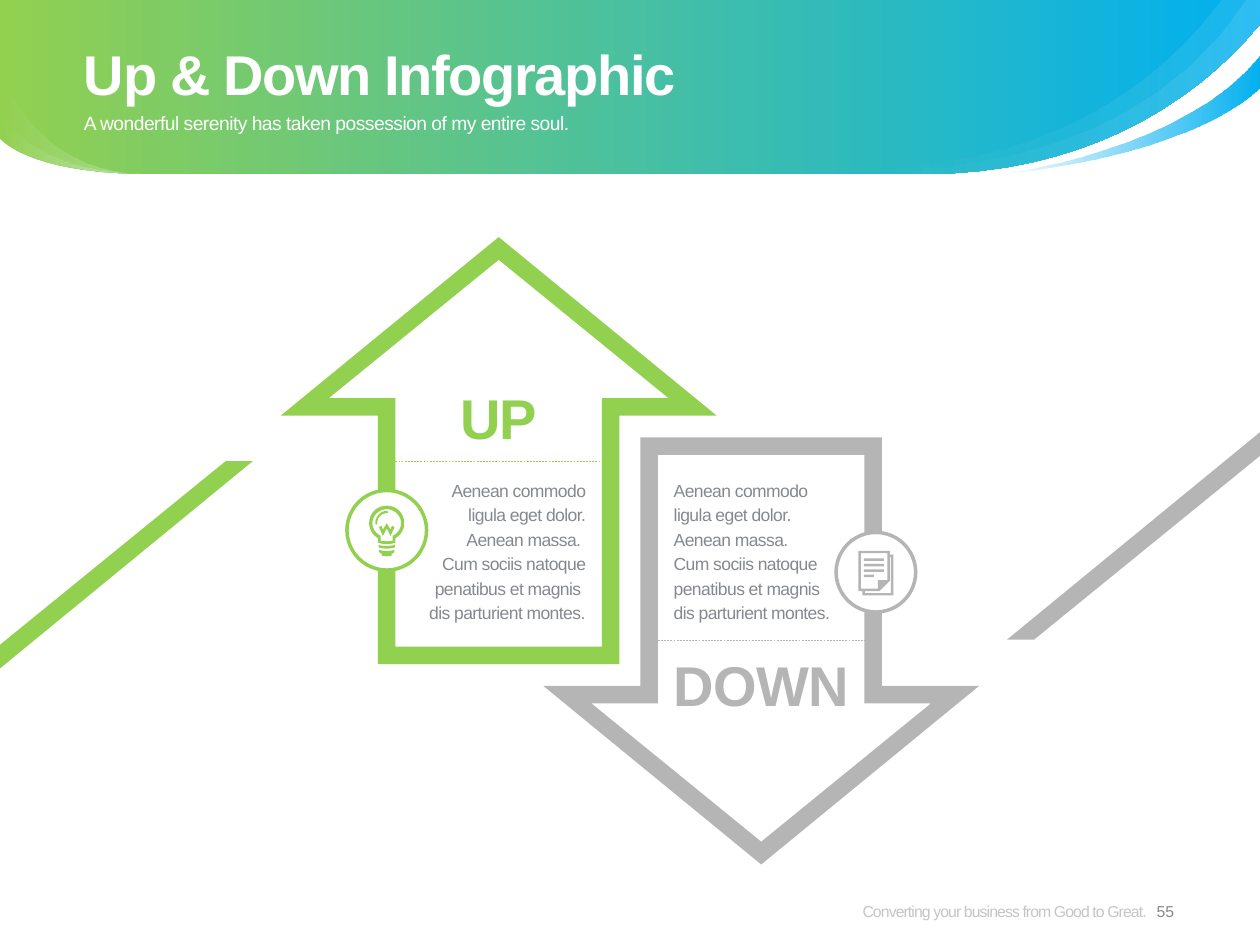
import pptx
import pptx.dml.color
import pptx.enum.dml
import pptx.enum.shapes
import pptx.enum.text
import pptx.oxml.ns
import pptx.util
from lxml import etree

Pt = pptx.util.Pt
RGB = pptx.dml.color.RGBColor.from_string
ALIGN = pptx.enum.text.PP_ALIGN
ANCHOR = pptx.enum.text.MSO_ANCHOR
SHAPE = pptx.enum.shapes.MSO_SHAPE
qn = pptx.oxml.ns.qn

COLORS = {"up": "92D050", "down": "B5B5B5", "blue": "00B0F0", "white": "FFFFFF",
          "body": "85898F", "footer": "C5C5C5"}

BULB = [
    [(10, 0), (4.3, 0, 0, 4.3, 0, 10), (0, 13.6, 2, 16.8, 5, 18.5), (5, 21),
     (8.3, 22.3, 11.7, 22.3, 15, 21), (15, 18.5), (18, 16.8, 20, 13.6, 20, 10),
     (20, 4.3, 15.7, 0, 10, 0)],
    [(13.4, 17.2), (13.4, 20), (11, 20.4, 9, 20.4, 6.6, 20), (6.6, 17.2),
     (3.7, 15.8, 1.8, 13, 1.8, 10), (1.8, 5.6, 5.6, 2, 10, 2),
     (14.4, 2, 18.2, 5.6, 18.2, 10), (18.2, 13, 16.3, 15.8, 13.4, 17.2)],
    [(12.2, 13.7), (10, 10), (7.8, 13.7), (7, 11.5), (5.5, 12.2), (7.8, 17.3),
     (10, 13), (12.2, 17.3), (14.5, 12.2), (13, 11.5)],
    [(10, 4.3), (11, 4.2, 11, 3.1, 10, 3), (6.4, 3, 3.5, 6.2, 3.5, 10),
     (3.6, 11, 4.5, 11, 4.6, 10), (4.6, 6.8, 6.9, 4.3, 10, 4.3)],
    [(5.4, 22.3), (5.4, 23.8), (8, 24.7, 12, 24.7, 14.6, 23.8), (14.6, 22.3),
     (12, 23.3, 8, 23.3, 5.4, 22.3)],
    [(5.6, 25.2), (5.6, 26.4), (6, 26.9, 6.5, 27.2, 7.2, 27.4), (7.2, 28.5),
     (8.5, 29, 11.5, 29, 12.8, 28.5), (12.8, 27.4), (13.5, 27.2, 14, 26.9, 14.4, 26.4),
     (14.4, 25.2), (12, 26.1, 8, 26.1, 5.6, 25.2)],
]
PAGES = [
    [(18, 2.2), (18, 0), (0, 0), (0, 23), (2.3, 23), (2.3, 25.5), (20, 25.5), (20, 2.2)],
    [(1.4, 21.6), (1.4, 1.4), (16.6, 1.4), (16.6, 16.8), (11.2, 16.8), (11.2, 21.6)],
    [(18.6, 24.2), (3.7, 24.2), (3.7, 23), (12.2, 23), (18, 17.2), (18, 3.6), (18.6, 3.6)],
] + [[(3.2, y), (right, y), (right, y + 1.4), (3.2, y + 1.4)]
     for y, right in ((4.4, 14.6), (7.5, 14.6), (10.6, 14.6), (13.7, 8.9))]


def flatten(contour, steps=16):
    """Turn points and cubic curves (six numbers) into plain points."""
    pts = []
    for item in contour:
        if len(item) == 2:
            pts.append(item)
            continue
        x0, y0 = pts[-1]
        x1, y1, x2, y2, x3, y3 = item
        for i in range(1, steps + 1):
            t = i / steps
            a, b, c, d = (1 - t) ** 3, 3 * t * (1 - t) ** 2, 3 * t * t * (1 - t), t ** 3
            pts.append((a * x0 + b * x1 + c * x2 + d * x3, a * y0 + b * y1 + c * y2 + d * y3))
    return pts


def add_outline(s, left, top, contours, color=None):
    """Draw closed contours, offset from a corner, as one freeform."""
    builder = None
    for contour in contours:
        pts = [(Pt(left + x), Pt(top + y)) for x, y in flatten(contour)]
        if builder is None:
            builder = s.shapes.build_freeform(*pts[0])
        else:
            builder.move_to(*pts[0])
        builder.add_line_segments(pts[1:], close=True)
    sp = builder.convert_to_shape()
    sp.shadow.inherit = False
    sp.line.fill.background()
    if color:
        sp.fill.solid()
        sp.fill.fore_color.rgb = RGB(COLORS[color])
    return sp


def set_gradient(sp, *stops):
    """Fill left to right with two (position, colour, opacity percent) stops."""
    sp.fill.gradient()
    sp.fill.gradient_angle = 0
    for stop, (position, color, opacity) in zip(sp.fill.gradient_stops, stops):
        stop.position = position
        stop.color.rgb = RGB(COLORS[color])
    for clr, (position, color, opacity) in zip(sp._element.spPr.iter(qn("a:srgbClr")), stops):
        if opacity < 100:
            etree.SubElement(clr, qn("a:alpha")).set("val", str(opacity * 1000))


def write(sp, box, lines, size, color, align=ALIGN.LEFT, anchor=ANCHOR.TOP,
          bold=False, spacing=0, leading=None):
    """Place a text shape and format its paragraphs."""
    sp.left, sp.top, sp.width, sp.height = map(Pt, box)
    tf = sp.text_frame
    tf.text = "\n".join(lines)
    tf.word_wrap = True
    tf.auto_size = pptx.enum.text.MSO_AUTO_SIZE.NONE
    tf.vertical_anchor = anchor
    tf.margin_left = tf.margin_top = tf.margin_right = tf.margin_bottom = 0
    for p in tf.paragraphs:
        p.alignment = align
        if leading:
            p.line_spacing = Pt(leading)
        for r in p.runs:
            r.font.name, r.font.size, r.font.bold = "Arial", Pt(size), bold
            r.font.color.rgb = RGB(COLORS[color])
            r._r.get_or_add_rPr().set("spc", str(spacing))


def add_text(s, box, lines, size, color, **style):
    """Add a text box."""
    write(s.shapes.add_textbox(*map(Pt, box)), box, lines, size, color, **style)


def add_header(s, left, top, width, height):
    """Draw the curved banner with its title and subtitle."""
    right_edge = [(width, 0), (width, 13.7), (680.4, 62, 615.6, height, 528.5, height)]
    left_edge = [(82, height), (15, 98.6, 0, 79.2, 0, 79.2)]
    banner = add_outline(s, left, top, [right_edge + left_edge + [(0, 0)]])
    set_gradient(banner, (0, "up", 100), (1, "blue", 100))
    ribbon = add_outline(s, left, top, [[
        (571.7, height), (571.7, height, 676.8, 86.4, width, 31), (width, 49.7),
        (width, 49.7, 686.9, 87.8, 571.7, height)]])
    set_gradient(ribbon, (0, "blue", 0), (1, "blue", 100))
    for sweep in ((599, 103, 666.7, 41.8, 697.7, 0), (473.8, 95, 635, 116.6, 712, 0)):
        gloss = add_outline(s, left, top, [right_edge + [
            (522, height), (491.8, height, 470.2, 94.3, 468.7, 94.3), sweep]])
        set_gradient(gloss, (0.15, "white", 0), (1, "white", 10))
    for y in (64, 38):
        gloss = add_outline(s, left, top, [left_edge + [(0, y), (0, y, 15, 98, 82, height)]])
        set_gradient(gloss, (0, "white", 0), (1, "white", 30))
    title = s.shapes.title
    s.shapes._spTree.append(title._element)
    write(title, (left + 48, top + 16.5, 623.5, 47), ["Up & Down Infographic"], 32, "white",
          anchor=ANCHOR.MIDDLE, bold=True, spacing=-80, leading=42)
    add_text(s, (left + 48, top + 63.5, 623.5, 28),
             ["A wonderful serenity has taken possession of my entire soul."], 11, "white", spacing=-30)


def add_panel(s, left, top, width, height, key, heading, lines, icon, icon_size):
    """Draw an up or down arrow with divider, icon badge, heading and text."""
    up = key == "up"
    halves = ([(124.5, 0), (0, 102), (55.5, 102), (55.5, 244)],
              [(124.5, 13), (27.5, 92), (65.5, 92), (65.5, 234)])
    contours = [half + [(width - x, y) for x, y in reversed(half[1:])] for half in halves]
    if not up:
        contours = [[(x, height - y) for x, y in contour] for contour in contours]
    add_outline(s, left, top, contours, key)

    y = top + (128 if up else height - 128)
    divider = s.shapes.add_connector(pptx.enum.shapes.MSO_CONNECTOR.STRAIGHT,
                                     Pt(left + 65.5), Pt(y), Pt(left + 183.5), Pt(y))
    divider.line.color.rgb = RGB(COLORS[key])
    divider.line.width = Pt(0.25)
    divider.line.dash_style = pptx.enum.dml.MSO_LINE.DASH
    etree.SubElement(divider._element.spPr, qn("a:effectLst"))

    cx = left + (60.5 if up else width - 59)
    cy = top + (167.5 if up else height - 167)
    badge = s.shapes.add_shape(SHAPE.OVAL, Pt(cx - 22.75), Pt(cy - 22.75), Pt(45.5), Pt(45.5))
    badge.shadow.inherit = False
    badge.fill.solid()
    badge.fill.fore_color.rgb = RGB(COLORS["white"])
    badge.line.color.rgb = RGB(COLORS[key])
    badge.line.width = Pt(2)
    add_outline(s, cx - icon_size[0] / 2, cy - icon_size[1] / 2 + 0.5, icon, key)

    add_text(s, (left + 74.5, top + (136.5 if up else 22), 99.5, 85), lines, 10, "body",
             align=ALIGN.RIGHT if up else ALIGN.LEFT, spacing=-30, leading=14)
    add_text(s, (left + 69, top + (83.5 if up else 122), 111, 39), [heading], 32, key,
             align=ALIGN.CENTER, bold=True, spacing=-30)


def add_stripe(s, left, top, width, height, key):
    """Draw a slanted bar, turned half round for the down side."""
    pts = [(width, 0), (0, height), (0, height - 13.5), (width - 15.5, 0)]
    if key == "down":
        pts = [(width - x, height - y) for x, y in pts]
    add_outline(s, left, top, [pts], key)


def add_footer(s, left, top, width, height):
    """Write the footer line and the page number."""
    add_text(s, (left, top, width - 28, height), ["Converting your business from Good to Great."],
             9, "footer", align=ALIGN.RIGHT, anchor=ANCHOR.MIDDLE, spacing=-50)
    add_text(s, (left + width - 34, top, 34, height), ["55"], 9, "body",
             align=ALIGN.CENTER, anchor=ANCHOR.MIDDLE)


def main():
    """Build and save the slide."""
    prs = pptx.Presentation()
    prs.slide_width, prs.slide_height = Pt(720), Pt(540)
    s = prs.slides.add_slide(prs.slide_layouts[5])
    add_header(s, 0, 0, 720, 99.4)
    add_stripe(s, 0, 263.5, 144.5, 118.5, "up")
    add_stripe(s, 575.5, 247, 144.5, 118.5, "down")
    add_panel(s, 310.5, 250, 249, 244, "down", "DOWN",
              ["Aenean commodo ligula eget dolor. Aenean massa.",
               "Cum sociis natoque penatibus et magnis", "dis parturient montes."], PAGES, (20, 25.5))
    add_panel(s, 160.5, 135.5, 249, 244, "up", "UP",
              ["Aenean commodo ligula eget dolor. Aenean massa. ",
               "Cum sociis natoque penatibus et magnis ", "dis parturient montes."], BULB, (20, 29))
    add_footer(s, 435, 501, 248, 39)
    prs.save("out.pptx")


if __name__ == "__main__":
    main()
